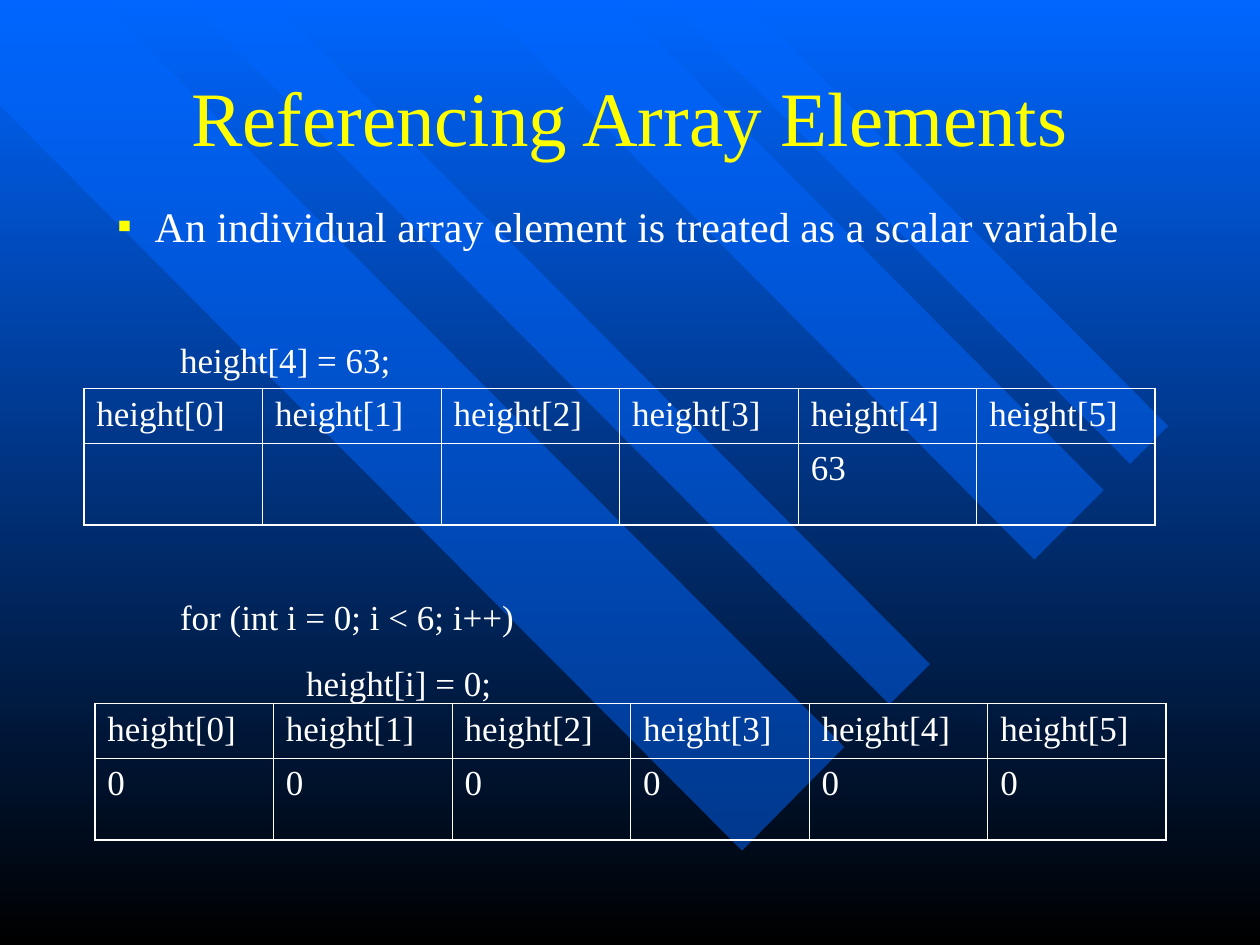
from lxml.etree import SubElement
from pptx import Presentation
from pptx.dml.color import RGBColor
from pptx.enum.text import MSO_ANCHOR, PP_ALIGN
from pptx.oxml import parse_xml
from pptx.oxml.ns import nsdecls, qn
from pptx.util import Cm, Pt

FONT = "Times New Roman"
BLUE, BLACK, WHITE, YELLOW = "0066FF", "000000", "FFFFFF", "FFFF00"

TITLE = "Referencing Array Elements"
BODY = [  # text, format
    ("An individual array element is treated as a scalar variable",
     dict(size=24, bullet="▪", left=0.76)),
    ("height[4] = 63;", dict(left=1.27, before=50)),
    ("for (int i = 0; i < 6; i++)", dict(left=1.27, before=123)),
    ("height[i] = 0;", dict(left=3.81, before=13.6)),
]
NAMES = [f"height[{i}]" for i in range(6)]
ARRAYS = [  # left, top in cm, values
    (1.69, 7.83, ["", "", "", "", "63", ""]),
    (1.91, 14.18, ["0"] * 6),
]
COLUMN_WIDTH = 3.6
ROW_HEIGHTS = (1.1, 1.65)
INNER_LINE, OUTER_LINE = 0.45, 1.08

STRIPES = [  # corners in cm
    [(17.02, 15.06), (2.01, 0), (0, 0), (0, 2.13), (14.96, 17.15)],
    [(5.44, 0), (18.75, 13.39), (17.93, 14.2), (3.78, 0)],
    [(12.42, 0), (22.25, 9.88), (20.85, 11.28), (9.65, 0)],
    [(13.46, 0), (22.78, 9.35), (23.55, 8.59), (15.01, 0)],
]


def rgb(color):
    return RGBColor.from_string(color)


def write(paragraph, text, size=20, color=WHITE, align=PP_ALIGN.LEFT,
          left=0, before=0, bullet=None):
    paragraph.alignment = align
    paragraph.space_before = Pt(before)
    run = paragraph.add_run()
    run.text = text
    run.font.name, run.font.size = FONT, Pt(size)
    run.font.color.rgb = rgb(color)
    props = paragraph._p.get_or_add_pPr()
    props.set("marL", str(Cm(left)))
    if bullet:
        props.set("indent", str(-Cm(left)))
        bullet_color = SubElement(props, qn("a:buClr"))
        SubElement(bullet_color, qn("a:srgbClr"), val=YELLOW)
        SubElement(props, qn("a:buFont"), typeface=FONT)
        SubElement(props, qn("a:buChar"), char=bullet)


def add_frame(slide, left, top, width, height, anchor=MSO_ANCHOR.TOP):
    box = slide.shapes.add_textbox(Cm(left), Cm(top), Cm(width), Cm(height))
    frame = box.text_frame
    frame.word_wrap = True
    frame.vertical_anchor = anchor
    return frame


def add_stripe(slide, corners):
    start, *rest = [(Cm(x), Cm(y)) for x, y in corners]
    builder = slide.shapes.build_freeform(*start)
    builder.add_line_segments(rest, close=True)
    stripe = builder.convert_to_shape()
    stripe.shadow.inherit = False
    stripe.line.fill.background()
    stripe.fill.solid()
    stripe.fill.fore_color.rgb = rgb(BLUE)
    fill_color = stripe._element.spPr.find(".//" + qn("a:srgbClr"))
    SubElement(fill_color, qn("a:alpha"), val="50000")


def set_borders(cell, outer_sides):
    props = cell._tc.get_or_add_tcPr()
    for place, side in enumerate("LRTB"):
        width = Pt(OUTER_LINE if side in outer_sides else INNER_LINE)
        props.insert(place, parse_xml(
            f'<a:ln{side} {nsdecls("a")} w="{width}"><a:solidFill>'
            f'<a:srgbClr val="{WHITE}"/></a:solidFill></a:ln{side}>'))


def add_array(slide, left, top, values):
    rows = [NAMES, values]
    count = len(NAMES)
    table = slide.shapes.add_table(
        len(rows), count, Cm(left), Cm(top),
        Cm(COLUMN_WIDTH * count), Cm(sum(ROW_HEIGHTS))).table
    table.first_row = table.horz_banding = False
    for column in table.columns:
        column.width = Cm(COLUMN_WIDTH)
    for r, texts in enumerate(rows):
        table.rows[r].height = Cm(ROW_HEIGHTS[r])
        for c, text in enumerate(texts):
            cell = table.cell(r, c)
            cell.fill.background()
            if text:
                write(cell.text_frame.paragraphs[0], text)
            edges = {"L": c == 0, "R": c == count - 1,
                     "T": r == 0, "B": r == len(rows) - 1}
            set_borders(cell, [side for side, outer in edges.items() if outer])


def main():
    deck = Presentation()
    deck.slide_width, deck.slide_height = Cm(25.4), Cm(19.05)
    slide = deck.slides.add_slide(deck.slide_layouts[6])

    background = slide.background.fill
    background.gradient()
    background.gradient_angle = 270
    for stop, color in zip(background.gradient_stops, (BLUE, BLACK)):
        stop.color.rgb = rgb(color)
    for corners in STRIPES:
        add_stripe(slide, corners)

    heading = add_frame(slide, 1.9, 0.64, 21.6, 3.38, MSO_ANCHOR.MIDDLE)
    write(heading.paragraphs[0], TITLE, size=44, color=YELLOW,
          align=PP_ALIGN.CENTER)

    body = add_frame(slide, 2.11, 3.92, 21.8, 10.2)
    for i, (text, style) in enumerate(BODY):
        write(body.add_paragraph() if i else body.paragraphs[0], text, **style)

    for left, top, values in ARRAYS:
        add_array(slide, left, top, values)
    deck.save("out.pptx")


if __name__ == "__main__":
    main()
